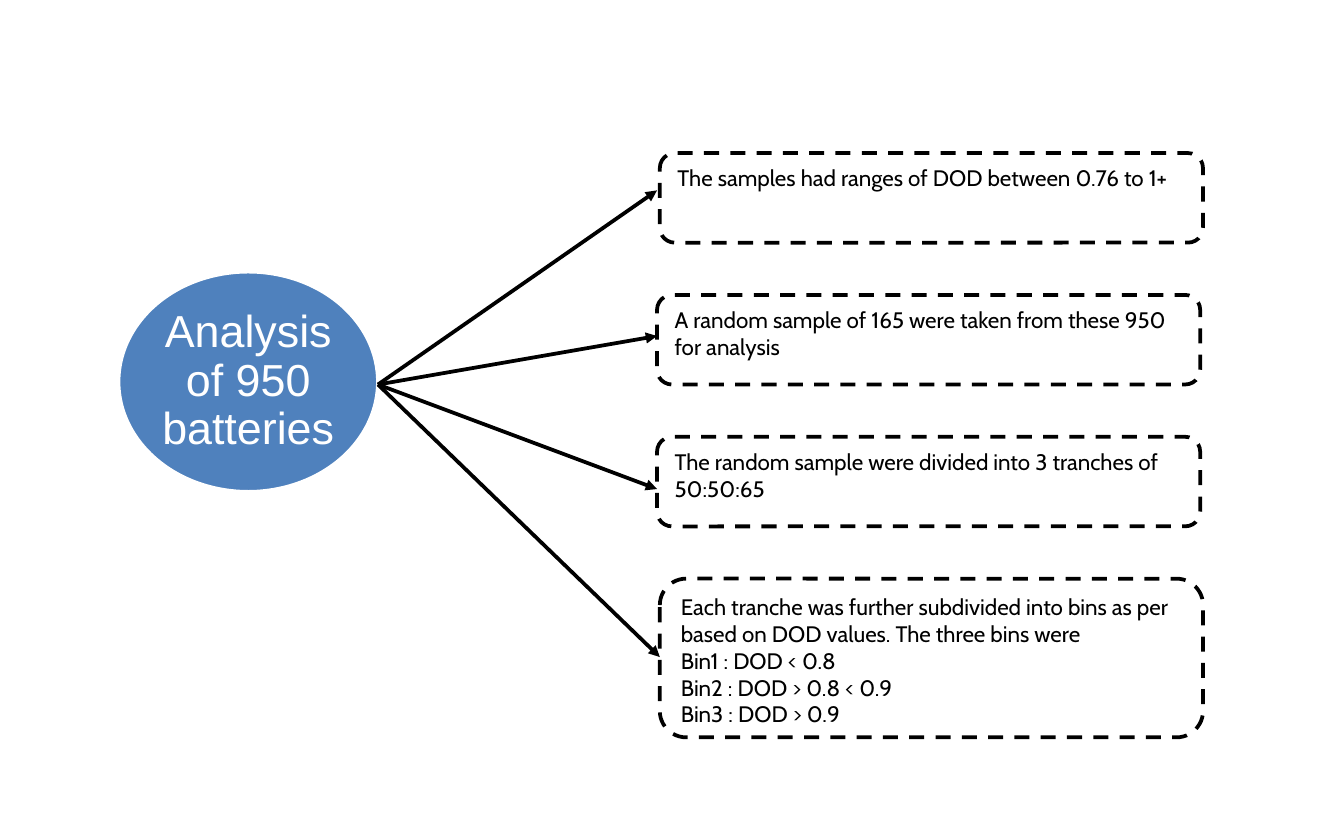
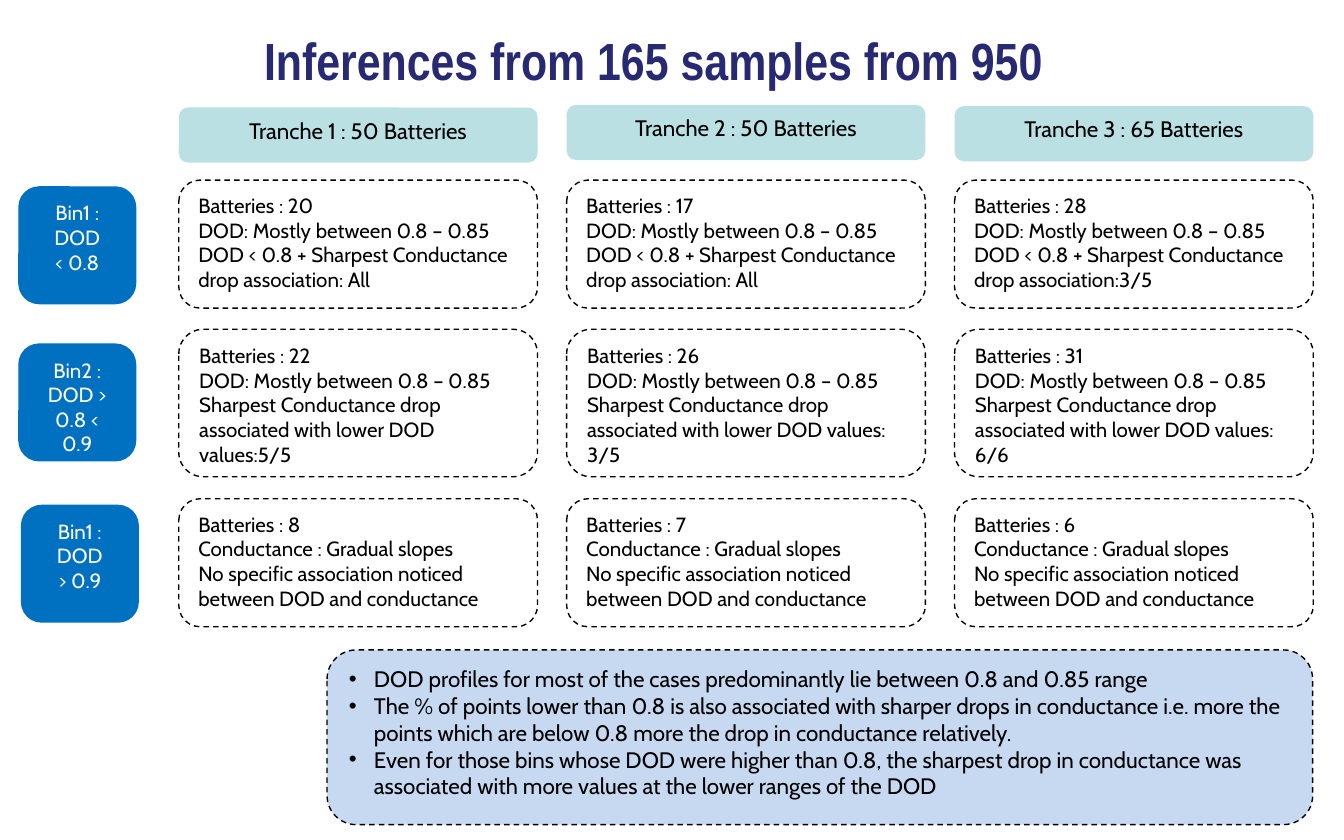
from lxml import etree
from pptx import Presentation
from pptx.dml import color
from pptx.enum import dml, shapes, text
from pptx.oxml import ns
from pptx.util import Pt

BLACK, WHITE, NAVY = "000000", "FFFFFF", "282973"
BLUE, DEEP, TEAL, PALE = "4F81BD", "0070C0", "BBE0E3", "C6D9F1"
ROUND = shapes.MSO_SHAPE.ROUNDED_RECTANGLE
OVAL = shapes.MSO_SHAPE.OVAL
LEFT, MID = text.PP_ALIGN.LEFT, text.PP_ALIGN.CENTER
hue = color.RGBColor.from_string


def draw(page, place, fill=None, edge=None, wide=2, dash=False, kind=ROUND):
    shape = page.shapes.add_shape(kind, *map(Pt, place))
    shape.shadow.inherit = False
    if fill:
        shape.fill.solid()
        shape.fill.fore_color.rgb = hue(fill)
    else:
        shape.fill.background()
    if edge:
        shape.line.color.rgb = hue(edge)
        shape.line.width = Pt(wide)
        if dash:
            shape.line.dash_style = dml.MSO_LINE.DASH
    else:
        shape.line.fill.background()
    return shape


def write(shape, lines, size, ink=BLACK, align=LEFT, font="Cabin", bold=False):
    frame = shape.text_frame
    frame.word_wrap = True
    frame.vertical_anchor = text.MSO_ANCHOR.TOP
    for n, line in enumerate(lines):
        para = frame.paragraphs[0] if n == 0 else frame.add_paragraph()
        para.alignment = align
        run = para.add_run()
        run.text = line
        run.font.name = font
        run.font.size = Pt(size)
        run.font.bold = bold
        run.font.color.rgb = hue(ink)
    return frame


deck = Presentation()
deck.slide_width, deck.slide_height = Pt(720), Pt(450)
blank = deck.slide_layouts[6]

page = deck.slides.add_slide(blank)
hub = draw(page, (63.5, 145.5, 139, 118), BLUE, WHITE, kind=OVAL)
frame = write(hub, ["Analysis of 950 batteries"], 24, WHITE, MID, "Arial")
frame.vertical_anchor = text.MSO_ANCHOR.MIDDLE
frame.margin_left = frame.margin_right = Pt(2)
frame.margin_top = frame.margin_bottom = Pt(2)
frame.paragraphs[0].line_spacing = 0.9

steps = [
    (353.5, 48, 352, 102, ["The samples had ranges of DOD between 0.76 to 1+"]),
    (352, 48, 352, 180, ["A random sample of 165 were taken from these 950 for analysis"]),
    (352, 48, 352, 262, ["The random sample were divided into 3 tranches of 50:50:65"]),
    (353.5, 85, 353.5, 352, [
        "Each tranche was further subdivided into bins as per based on DOD values. The three bins were",
        "Bin1 : DOD < 0.8",
        "Bin2 : DOD > 0.8 < 0.9",
        "Bin3 : DOD > 0.9",
    ]),
]
for n, (left, high, tip, end, lines) in enumerate(steps):
    card = draw(page, (left, 82 + 76 * n, 291, high), edge=BLACK, dash=True)
    write(card, lines, 12)
    arrow = page.shapes.add_connector(
        shapes.MSO_CONNECTOR.STRAIGHT, Pt(202.5), Pt(206), Pt(tip), Pt(end))
    arrow.line.color.rgb = hue(BLACK)
    arrow.line.width = Pt(2)
    etree.SubElement(arrow.line._get_or_add_ln(), ns.qn("a:tailEnd"), type="triangle")
    etree.SubElement(arrow._element.spPr, ns.qn("a:effectLst"))

page = deck.slides.add_slide(blank)
title = page.shapes.add_textbox(Pt(32.5), Pt(11.5), Pt(641), Pt(40))
write(title, ["Inferences from 165 samples from 950 "], 28, NAVY, MID, "Arial Narrow", True)

cols = [95.8, 303.6, 511.4]
heads = [
    (57.6, "Tranche 1 : 50 Batteries"),
    (56.2, "Tranche 2 : 50 Batteries"),
    (56.9, "Tranche 3 : 65 Batteries"),
]
for left, (top, head) in zip(cols, heads):
    write(draw(page, (left, top, 192.2, 29.5), TEAL), [head], 12, align=MID)

range_ = "DOD: Mostly between 0.8 – 0.85"
sharp = "DOD < 0.8 + Sharpest Conductance drop association:"
lower = "Sharpest Conductance drop associated with lower DOD values:"
slopes = "Conductance : Gradual slopes"
none = "No specific association noticed between DOD and conductance"
rows = [
    (96.5, 68.6, 10.8, 100.8, ["Bin1 :", "DOD", "< 0.8"], range_, sharp,
     [(20, " All"), (17, " All"), (28, "3/5")]),
    (176.4, 79, 10.8, 185, ["Bin2 :", "DOD >", "0.8 <", "0.9"], range_, lower,
     [(22, "5/5"), (26, " 3/5"), (31, " 6/6")]),
    (267.2, 68.6, 12.2, 271.4, ["Bin1 :", "DOD", "> 0.9"], slopes, none,
     [(8, ""), (7, ""), (6, "")]),
]
for top, high, side, peak, label, trend, link, cells in rows:
    write(draw(page, (side, peak, 61.2, 61.2), DEEP, DEEP), label, 11, WHITE, MID)
    for left, (count, score) in zip(cols, cells):
        cell = draw(page, (left, top, 192.2, high), edge=BLACK, wide=0.75, dash=True)
        write(cell, [f"Batteries : {count}", trend, link + score], 11)

notes = [
    "DOD profiles for most of the cases predominantly lie between 0.8 and 0.85 range",
    "The % of points lower than 0.8 is also associated with sharper drops in conductance i.e. "
    "more the points which are below 0.8 more the drop in conductance relatively.",
    "Even for those bins whose DOD were higher than 0.8, the sharpest drop in conductance was "
    "associated with more values at the lower ranges of the DOD",
]
panel = draw(page, (175.2, 348.2, 528, 93.6), PALE, BLACK, 0.75, True)
for para in write(panel, notes, 12).paragraphs:
    props = para._p.get_or_add_pPr()
    props.set("marL", str(Pt(13.5)))
    props.set("indent", str(-Pt(13.5)))
    etree.SubElement(props, ns.qn("a:buFont"), typeface="Arial")
    etree.SubElement(props, ns.qn("a:buChar"), char="•")

deck.save("out.pptx")
